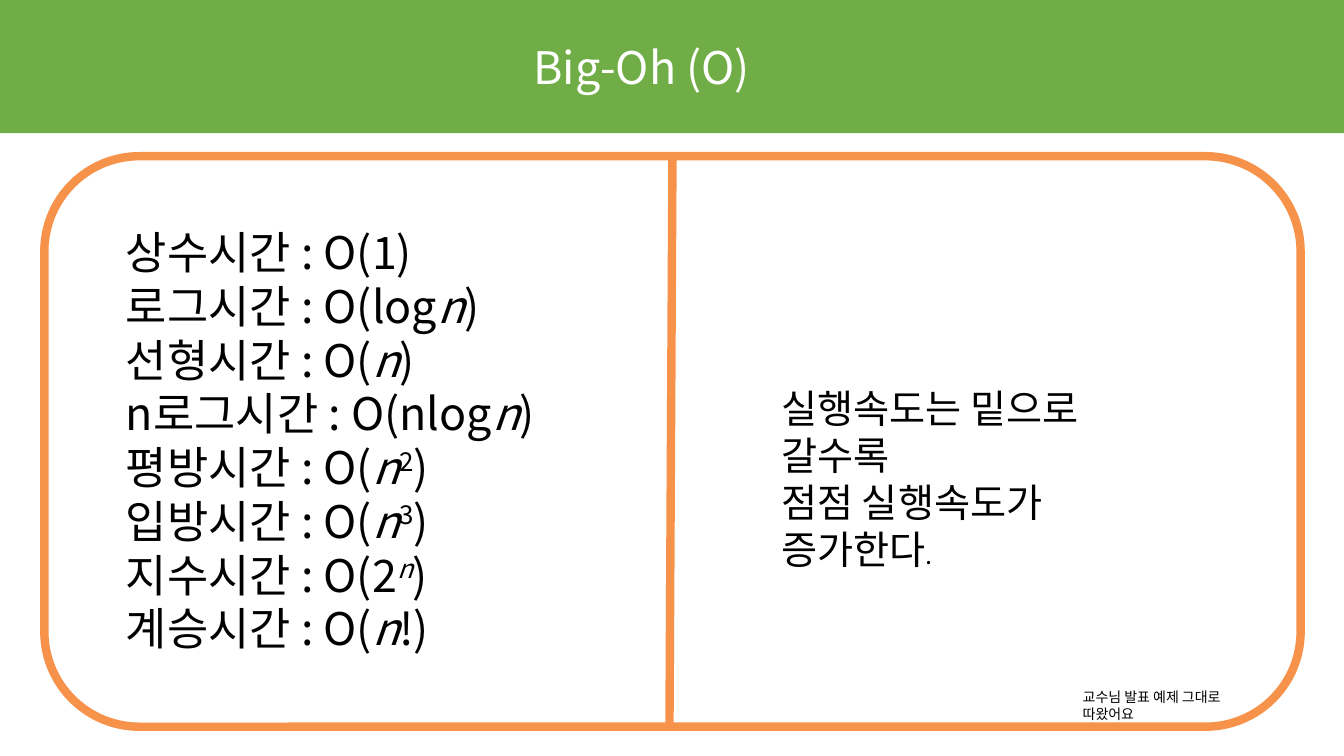
from dataclasses import dataclass

from lxml import etree
from pptx import Presentation
from pptx.dml.color import RGBColor
from pptx.enum.shapes import MSO_CONNECTOR, MSO_SHAPE
from pptx.enum.text import MSO_ANCHOR, MSO_AUTO_SIZE, PP_ALIGN
from pptx.oxml.ns import qn
from pptx.util import Inches, Pt

RECTANGLE, ROUNDED = MSO_SHAPE.RECTANGLE, MSO_SHAPE.ROUNDED_RECTANGLE
STRAIGHT = MSO_CONNECTOR.STRAIGHT
LEFT, CENTER = PP_ALIGN.LEFT, PP_ALIGN.CENTER
FONT = "Noto Sans CJK KR"
COLOURS = {"banner": "70AD47", "frame": "F7924B", "title": "FFFFFF", "text": "000000"}
WIDTH, HEIGHT = 13.33, 7.5
FRAME_LINE = 6
LIST_INDENT = 0.5
SUPERSCRIPT = "30000"


@dataclass(frozen=True)
class Area:
    left: float
    top: float
    width: float
    height: float

    def place(self) -> tuple:
        return tuple(Inches(side) for side in (self.left, self.top, self.width, self.height))


@dataclass(frozen=True)
class Piece:
    text: str
    size: float
    italic: bool = False
    raised: bool = False


@dataclass(frozen=True)
class Growth:
    name: str
    start: str
    variable: str = ""
    power: str = ""
    end: str = ")"
    power_italic: bool = False

    def pieces(self) -> list[Piece]:
        parts = [
            Piece(f" {self.name}시간 : O({self.start}", 32),
            Piece(self.variable, 32, italic=True),
            Piece(self.power, 32, italic=self.power_italic, raised=True),
            Piece(self.end, 32),
        ]
        return [part for part in parts if part.text]


BANNER = Area(0, 0, WIDTH, 1.32)
TITLE = Area(4.38, 0.34, 3.97, 0.64)
FRAME = Area(0.44, 1.55, 12.46, 5.66)
GROWTH_LIST = Area(0.55, 2.18, 6.98, 4.41)
REMARK = Area(7.65, 3.76, 4.27, 1.04)
CREDIT = Area(10.64, 6.78, 1.88, 0.27)

GROWTHS = [
    Growth("상수", "1"),
    Growth("로그", "log", "n"),
    Growth("선형", "", "n"),
    Growth("n로그", "nlog", "n"),
    Growth("평방", "", "n", "2"),
    Growth("입방", "", "n", "3"),
    Growth("지수", "2", power="n", power_italic=True),
    Growth("계승", "", "n", end="!)"),
]


def colour(name: str) -> RGBColor:
    return RGBColor.from_string(COLOURS[name])


def set_values(target, values: dict) -> None:
    for name, value in values.items():
        setattr(target, name, value)


def write(box, area: Area, lines: list[list[Piece]], ink: str = "text",
          align=LEFT, indent: float = 0) -> None:
    set_values(box, dict(zip(("left", "top", "width", "height"), area.place())))
    frame = box.text_frame
    set_values(frame, {
        "word_wrap": True, "auto_size": MSO_AUTO_SIZE.SHAPE_TO_FIT_TEXT,
        "vertical_anchor": MSO_ANCHOR.TOP,
    })
    for index, pieces in enumerate(lines):
        para = frame.add_paragraph() if index else frame.paragraphs[0]
        set_values(para, {
            "alignment": align, "level": 1 if indent else 0, "line_spacing": 1.0,
            "space_before": Pt(0), "space_after": Pt(0),
        })
        properties = para._p.get_or_add_pPr()
        properties.set("marL", str(Inches(indent)))
        properties.set("indent", "0")
        etree.SubElement(properties, qn("a:buNone"))
        for piece in pieces:
            span = para.add_run()
            span.text = piece.text
            set_values(span.font, {
                "name": FONT, "size": Pt(piece.size), "italic": piece.italic, "bold": False,
            })
            span.font.color.rgb = colour(ink)
            letters = span._r.get_or_add_rPr()
            etree.SubElement(letters, qn("a:ea")).set("typeface", FONT)
            if piece.raised:
                letters.set("baseline", SUPERSCRIPT)


def outline(line) -> None:
    line.color.rgb = colour("frame")
    line.width = Pt(FRAME_LINE)


deck = Presentation()
set_values(deck, {"slide_width": Inches(WIDTH), "slide_height": Inches(HEIGHT)})
page = deck.slides.add_slide(deck.slide_layouts[1])
title, body = page.shapes.title, page.placeholders[1]

banner = page.shapes.add_shape(RECTANGLE, *BANNER.place())
banner.shadow.inherit = False
banner.fill.solid()
banner.fill.fore_color.rgb = colour("banner")
banner.line.fill.background()
title.element.addprevious(banner.element)

panel = page.shapes.add_shape(ROUNDED, *FRAME.place())
panel.shadow.inherit = False
panel.fill.background()
outline(panel.line)
body.element.addprevious(panel.element)

divider = page.shapes.add_connector(
    STRAIGHT, Inches(6.67), Inches(FRAME.top), Inches(6.64), Inches(FRAME.top + FRAME.height))
outline(divider.line)
etree.SubElement(divider.element.spPr, qn("a:effectLst"))

write(title, TITLE, [[Piece("Big-Oh (O)", 32)]], "title", CENTER)
write(body, GROWTH_LIST, [growth.pieces() for growth in GROWTHS], indent=LIST_INDENT)
write(page.shapes.add_textbox(*REMARK.place()), REMARK, [
    [Piece("실행속도는 밑으로 갈수록 ", 28)],
    [Piece("점점 실행속도가 증가한다", 28), Piece(".", 18)],
])
write(page.shapes.add_textbox(*CREDIT.place()), CREDIT,
      [[Piece("교수님 발표 예제 그대로 따왔어요", 10)]])

deck.save("out.pptx")
